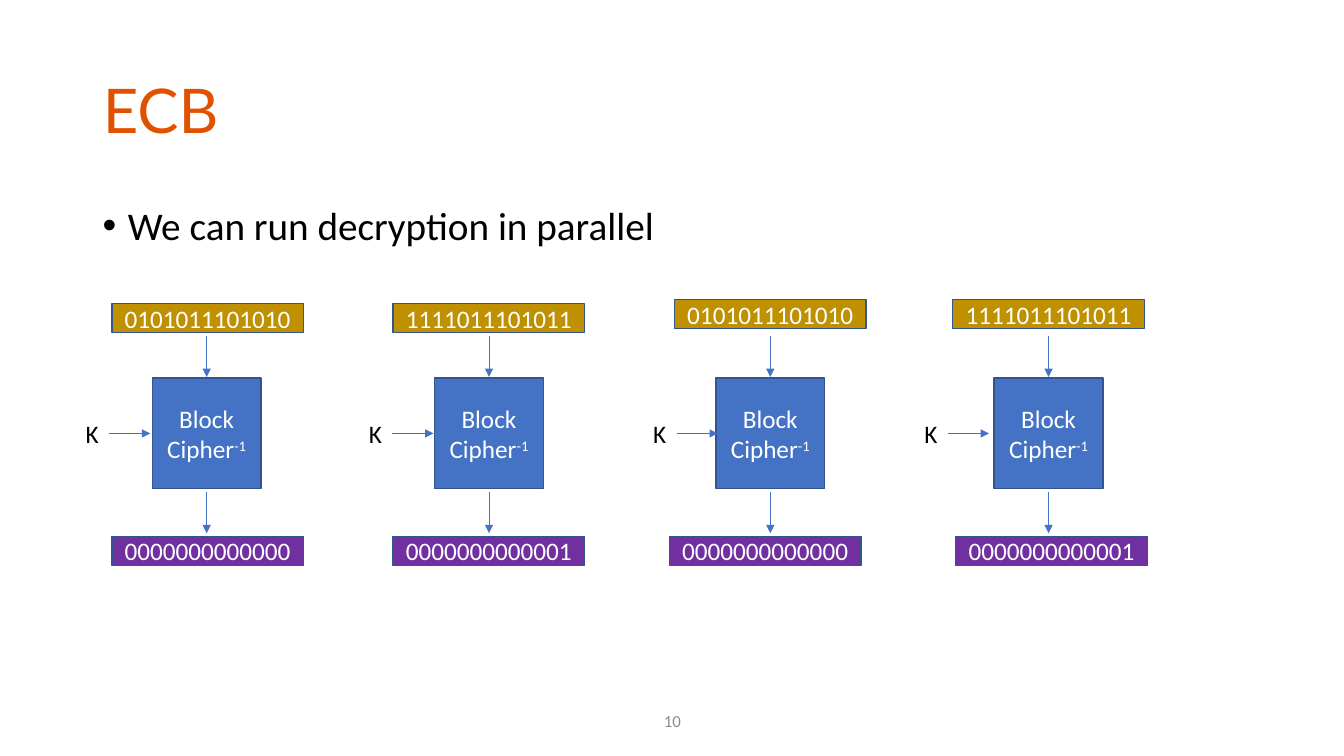
from dataclasses import dataclass

from lxml import etree
from pptx import Presentation
from pptx.dml.color import RGBColor
from pptx.enum.shapes import MSO_CONNECTOR, MSO_SHAPE
from pptx.enum.text import MSO_ANCHOR, MSO_AUTO_SIZE, PP_ALIGN
from pptx.oxml.ns import qn
from pptx.util import Pt

RECTANGLE, STRAIGHT = MSO_SHAPE.RECTANGLE, MSO_CONNECTOR.STRAIGHT
LEFT, CENTER = PP_ALIGN.LEFT, PP_ALIGN.CENTER
TOP, MIDDLE = MSO_ANCHOR.TOP, MSO_ANCHOR.MIDDLE
NO_FIT = MSO_AUTO_SIZE.NONE

# Content: a line is a string, or a (base, superscript) pair
TITLE = "ECB"
BULLET = "We can run decryption in parallel"
PAGE_NUMBER = "10"
KEY = "K"
CIPHER = ["Block", ("Cipher", "-1")]
# Each lane: ciphertext, plaintext, then the lefts of the cipher block,
# the ciphertext and the plaintext, the ciphertext top, the key arrow's start
LANES = [
    ("0101011101010", "0000000000000", 151, 111, 111, 301, 108),
    ("1111011101011", "0000000000001", 431, 390, 390, 301, 389),
    ("0101011101010", "0000000000000", 710, 669, 664, 297, 671),
    ("1111011101011", "0000000000001", 986, 945, 948, 297, 940),
]


@dataclass(frozen=True)
class Theme:
    heading_font: str = "Lato"
    body_font: str = "Calibri"
    title: str = "E15101"
    ink: str = "000000"
    muted: str = "8C8C8C"
    light: str = "FFFFFF"
    block: str = "4472C4"
    outline: str = "325491"
    ciphertext: str = "BF9000"
    plaintext: str = "7030A0"
    title_size: int = 44
    bullet_size: int = 28
    label_size: int = 18
    number_size: int = 12


THEME = Theme()

# Layout in px, 100 to the inch
PX = 9144
SLIDE_W, SLIDE_H = 1333, 750
BLOCK_W, BLOCK_H, BLOCK_TOP = 108, 110, 375
BITS_W, BITS_H, PLAINTEXT_TOP = 190, 29, 532
ARROW, ARROW_IN_TOP, ARROW_OUT_TOP = 41, 333, 488
KEY_W, KEY_H, KEY_Y = 33, 40, 430
BULLET_INDENT = 25


def px(*lengths):
    return [length * PX for length in lengths]


def color(code):
    return RGBColor.from_string(code)


def write(shape, lines, size=THEME.label_size, ink=THEME.ink,
          font=THEME.body_font, align=LEFT, anchor=TOP, spacing=1.0,
          wrap=True, bullet=False):
    frame = shape.text_frame
    frame.word_wrap = wrap
    frame.auto_size = NO_FIT
    frame.vertical_anchor = anchor
    for number, line in enumerate(lines):
        paragraph = frame.add_paragraph() if number else frame.paragraphs[0]
        paragraph.alignment = align
        paragraph.line_spacing = spacing
        if bullet:
            properties = paragraph._p.get_or_add_pPr()
            properties.set("marL", str(BULLET_INDENT * PX))
            properties.set("indent", str(-BULLET_INDENT * PX))
            etree.SubElement(properties, qn("a:buFont"), typeface="Arial")
            etree.SubElement(properties, qn("a:buChar"), char="•")
        base, *superscript = (line,) if isinstance(line, str) else line
        for text in (base, *superscript):
            run = paragraph.add_run()
            run.text = text
            run.font.name = font
            run.font.size = Pt(size)
            run.font.color.rgb = color(ink)
            if text in superscript:
                run._r.get_or_add_rPr().set("baseline", "30000")


def add_text(slide, box, lines, **text_format):
    write(slide.shapes.add_textbox(*px(*box)), lines, **text_format)


def add_box(slide, box, lines, fill):
    shape = slide.shapes.add_shape(RECTANGLE, *px(*box))
    shape.shadow.inherit = False
    shape.fill.solid()
    shape.fill.fore_color.rgb = color(fill)
    shape.line.color.rgb = color(THEME.outline)
    shape.line.width = Pt(1)
    write(shape, lines, ink=THEME.light, align=CENTER, anchor=MIDDLE)


def add_arrow(slide, x, y, across=0, down=0):
    arrow = slide.shapes.add_connector(
        STRAIGHT, *px(x, y, x + across, y + down))
    arrow.line.color.rgb = color(THEME.block)
    arrow.line.width = Pt(0.5)
    etree.SubElement(arrow.line._get_or_add_ln(), qn("a:tailEnd"),
                     type="triangle")
    etree.SubElement(arrow._element.spPr, qn("a:effectLst"))


def add_lane(slide, ciphertext, plaintext, block_x, ciphertext_x,
             plaintext_x, ciphertext_y, key_arrow_x):
    middle = block_x + BLOCK_W // 2
    add_box(slide, (block_x, BLOCK_TOP, BLOCK_W, BLOCK_H), CIPHER, THEME.block)
    for top in (ARROW_IN_TOP, ARROW_OUT_TOP):
        add_arrow(slide, middle, top, down=ARROW)
    add_box(slide, (ciphertext_x, ciphertext_y, BITS_W, BITS_H),
            [ciphertext], THEME.ciphertext)
    add_box(slide, (plaintext_x, PLAINTEXT_TOP, BITS_W, BITS_H),
            [plaintext], THEME.plaintext)
    add_text(slide, (key_arrow_x - KEY_W, KEY_Y - KEY_H // 2, KEY_W, KEY_H),
             [KEY], wrap=False)
    add_arrow(slide, key_arrow_x, KEY_Y, across=ARROW)


def main():
    deck = Presentation()
    deck.slide_width, deck.slide_height = px(SLIDE_W, SLIDE_H)
    slide = deck.slides.add_slide(deck.slide_layouts[5])

    # Title, bullet and page number
    title = slide.shapes.title
    title.left, title.top, title.width, title.height = px(92, 40, 1150, 145)
    write(title, [TITLE], size=THEME.title_size, ink=THEME.title,
          font=THEME.heading_font, anchor=MIDDLE, spacing=0.9)
    add_text(slide, (92, 200, 1150, 476), [BULLET], size=THEME.bullet_size,
             spacing=0.9, bullet=True)
    add_text(slide, (517, 695, 300, 40), [PAGE_NUMBER],
             size=THEME.number_size, ink=THEME.muted, align=CENTER,
             anchor=MIDDLE)

    # Parallel decryption lanes
    for lane in LANES:
        add_lane(slide, *lane)

    deck.save("out.pptx")


if __name__ == "__main__":
    main()
